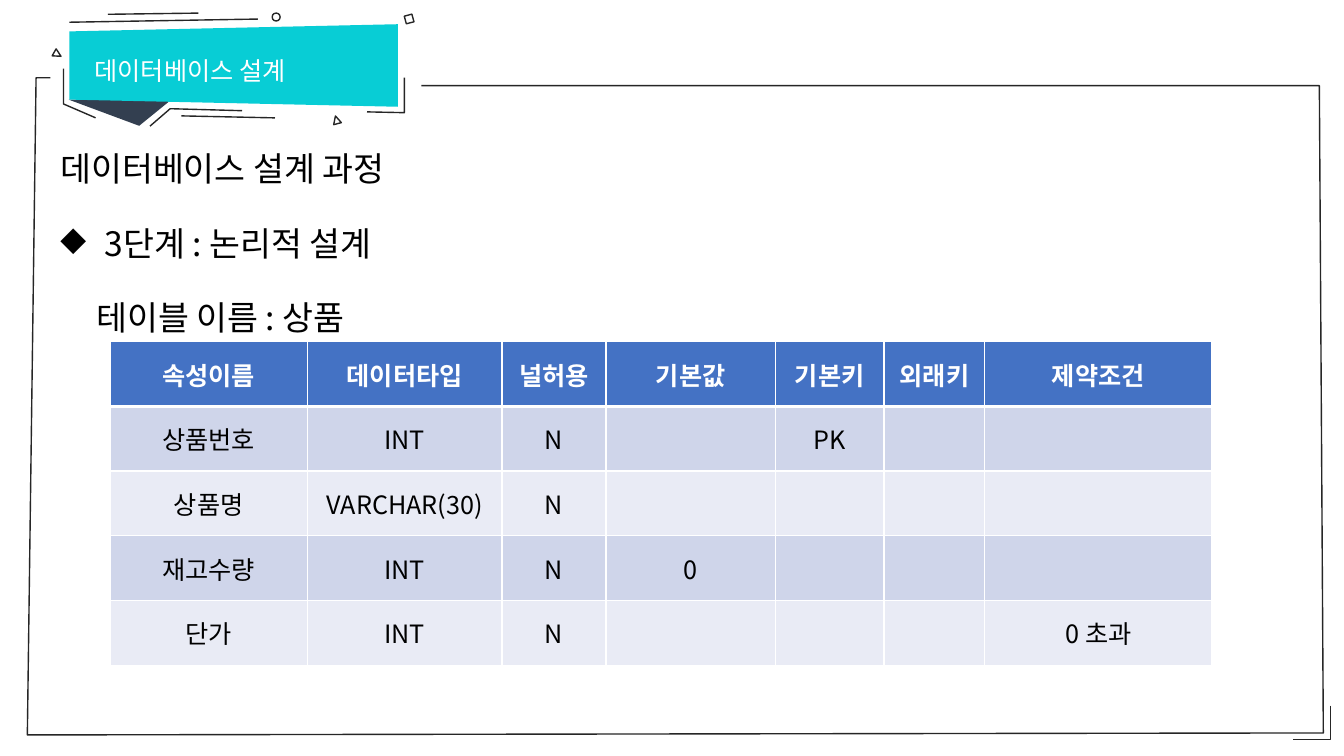
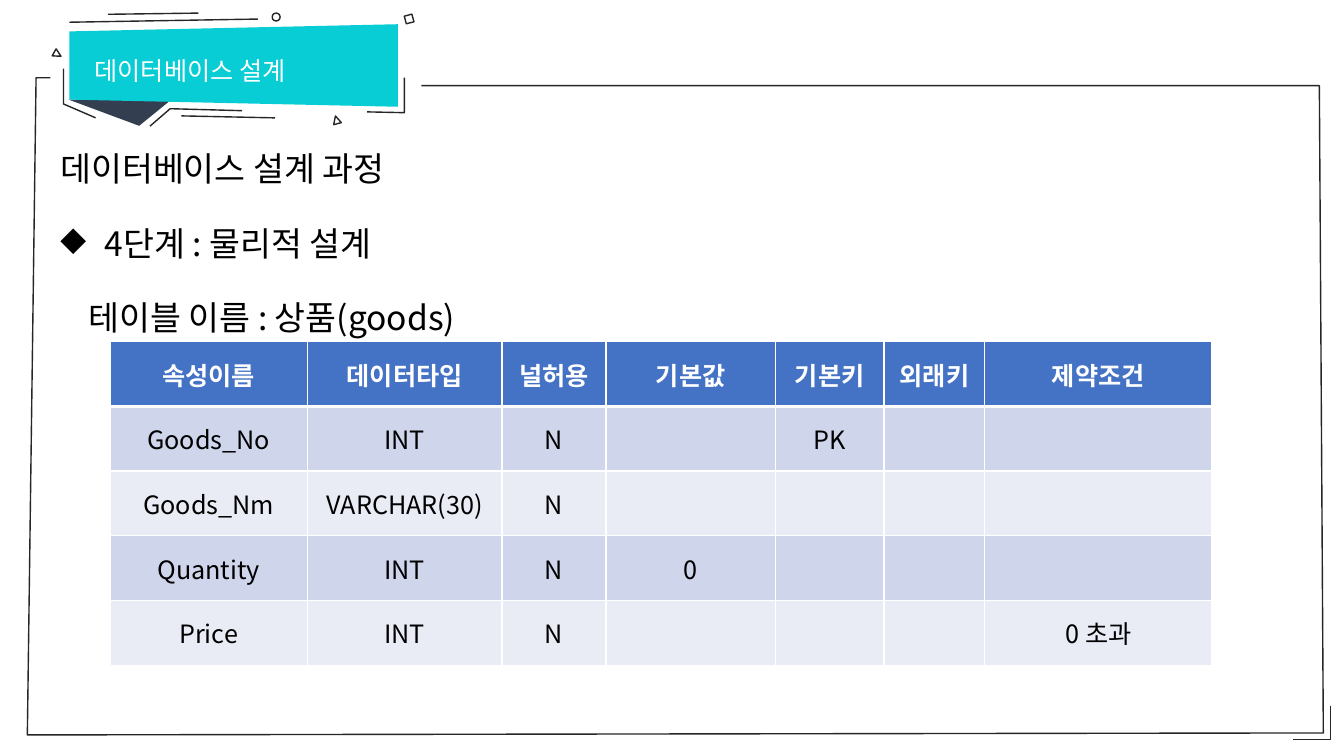
from lxml.etree import SubElement
from pptx import Presentation
from pptx.dml.color import RGBColor
from pptx.enum.shapes import MSO_CONNECTOR, MSO_SHAPE
from pptx.enum.text import MSO_ANCHOR, MSO_AUTO_SIZE, PP_ALIGN
from pptx.oxml.ns import qn
from pptx.util import Cm, Pt

COLORS = {
    "white": "FFFFFF", "black": "000000", "ink": "262626", "navy": "333F50",
    "cyan": "08CDD5", "header": "4472C4", "band": "CFD5EA", "pale": "E9EBF5",
}
FONT = "Noto Sans CJK KR"
TITLE = "데이터베이스 설계"
HEADING = "데이터베이스 설계 과정"
HEADERS = ["속성이름", "데이터타입", "널허용", "기본값", "기본키", "외래키", "제약조건"]
COLUMN_RULES = [
    ["INT", "N", "", "PK", "", ""],
    ["VARCHAR(30)", "N", "", "", "", ""],
    ["INT", "N", "0", "", "", ""],
    ["INT", "N", "", "", "", "0 초과"],
]
COL_WIDTHS = [4.98, 4.9, 2.62, 4.27, 2.74, 2.54, 5.72]
ROW_HEIGHT = 1.63
STEPS = [
    ("3단계 : 논리적 설계", "테이블 이름 : 상품", 0.91,
     ["상품번호", "상품명", "재고수량", "단가"]),
    ("4단계 : 물리적 설계", "테이블 이름 : 상품(goods)", 0.71,
     ["Goods_No", "Goods_Nm", "Quantity", "Price"]),
]

FRAME = [(10.62, 2.16), (33.25, 2.16), (33.35, 18.47), (0.69, 18.52),
         (0.91, 1.96), (1.27, 1.96)]
STROKES = [
    [(33.53, 17.78), (33.53, 18.64), (32.59, 18.64)],
    [(1.6, 1.73), (1.6, 2.62), (2.41, 2.97)],
    [(3.78, 3.18), (4.29, 2.74), (6.1, 2.79)],
    [(10.19, 1.96), (10.19, 2.84), (9.25, 2.82)],
]
LINES = [(1.75, 0.56, 6.5, 0.48), (2.72, 0.36, 5, 0.33), (4.57, 2.92, 6.93, 2.97)]
ORNAMENTS = [
    (MSO_SHAPE.OVAL, 6.86, 0.33, 0),
    (MSO_SHAPE.ISOSCELES_TRIANGLE, 8.38, 2.92, 345),
    (MSO_SHAPE.RECTANGLE, 10.21, 0.38, 345),
    (MSO_SHAPE.ISOSCELES_TRIANGLE, 1.35, 1.27, 120),
]


def rgb(name):
    return RGBColor.from_string(COLORS[name])


def paint(sp, fill=None, line=None):
    sp.shadow.inherit = False
    if fill:
        sp.fill.solid()
        sp.fill.fore_color.rgb = rgb(fill)
    else:
        sp.fill.background()
    if line:
        sp.line.color.rgb = rgb(line)
        sp.line.width = Pt(1)
    else:
        sp.line.fill.background()
    return sp


def add_path(s, points, fill=None):
    points = [(Cm(x), Cm(y)) for x, y in points]
    builder = s.shapes.build_freeform(*points[0])
    builder.add_line_segments(points[1:], close=False)
    return paint(builder.convert_to_shape(), fill, "ink")


def add_preset(s, kind, box, rotation=0, adjust=None, **colors):
    sp = s.shapes.add_shape(kind, *map(Cm, box))
    sp.rotation = rotation
    if adjust is not None:
        sp.adjustments[0] = adjust
    return paint(sp, **colors)


def add_line(s, ends):
    cx = s.shapes.add_connector(MSO_CONNECTOR.STRAIGHT, *map(Cm, ends))
    cx.line.color.rgb = rgb("ink")
    cx.line.width = Pt(1)
    SubElement(cx.element.spPr, qn("a:effectLst"))
    return cx


def write(p, text, size=18, color="black", bold=False, align=PP_ALIGN.LEFT,
          spacing=None, before=None, left=0, bullet=None):
    p.alignment = align
    if spacing:
        p.line_spacing = spacing
    if before is not None:
        p.space_before = Pt(before)
    pPr = p._p.get_or_add_pPr()
    pPr.set("marL", str(Cm(left)))
    pPr.set("indent", str(-Cm(left) if bullet else 0))
    if bullet:
        SubElement(pPr, qn("a:buChar"), char=bullet)
    r = p.add_run()
    r.text = text
    r.font.size = Pt(size)
    r.font.bold = bold
    r.font.color.rgb = rgb(color)
    r.font.name = FONT
    SubElement(r._r.get_or_add_rPr(), qn("a:ea"), typeface=FONT)


def draw_banner(s):
    parts = [
        add_path(s, FRAME, fill="white"),
        add_preset(s, MSO_SHAPE.ISOSCELES_TRIANGLE, (1.73, 2.51, 2.59, 0.66),
                   rotation=180, adjust=0.314, fill="navy"),
        add_preset(s, MSO_SHAPE.TRAPEZOID, (4.85, -2.49, 2.08, 8.28),
                   rotation=270, adjust=0.087, fill="cyan"),
    ]
    parts += [add_path(s, points) for points in STROKES]
    parts += [add_line(s, ends) for ends in LINES]
    parts += [add_preset(s, kind, (x, y, 0.2, 0.2), rotation=angle, line="ink")
              for kind, x, y, angle in ORNAMENTS]
    return parts


def set_up_layout(layout, s):
    tree = layout.shapes.element
    for holder in list(layout.placeholders):
        if holder.placeholder_format.idx != 0:
            tree.remove(holder.element)
    for part in draw_banner(s):
        tree.append(part.element)


def set_title(s):
    sp = s.shapes.title
    sp.left, sp.top, sp.width, sp.height = map(Cm, (2.13, 0.89, 5.87, 1.42))
    tf = sp.text_frame
    tf.word_wrap = False
    tf.auto_size = MSO_AUTO_SIZE.SHAPE_TO_FIT_TEXT
    tf.vertical_anchor = MSO_ANCHOR.TOP
    write(tf.paragraphs[0], TITLE, color="white", spacing=1.5, before=0)


def add_body(s, step, table_name, table_indent):
    tf = s.shapes.add_textbox(*map(Cm, (1.27, 3.71, 31.17, 12.57))).text_frame
    tf.word_wrap = True
    write(tf.paragraphs[0], HEADING, size=24, spacing=0.9, before=10)
    write(tf.add_paragraph(), step, size=24, spacing=1.5, before=10,
          left=1.12, bullet="◆")
    write(tf.add_paragraph(), table_name, size=24, spacing=1.5, before=10,
          left=table_indent)


def set_borders(cell, **widths):
    tcPr = cell._tc.get_or_add_tcPr()
    for side in ("L", "R", "T", "B"):
        ln = SubElement(tcPr, qn("a:ln" + side), w=str(Pt(widths.get(side, 1))))
        fill = SubElement(ln, qn("a:solidFill"))
        SubElement(fill, qn("a:srgbClr"), val=COLORS["white"])


def add_schema_table(s, names):
    rows = [HEADERS] + [[name] + rules for name, rules in zip(names, COLUMN_RULES)]
    table = s.shapes.add_table(
        len(rows), len(HEADERS), Cm(2.77), Cm(8.61),
        Cm(sum(COL_WIDTHS)), Cm(ROW_HEIGHT * len(rows))).table
    table.horz_banding = False
    for column, width in zip(table.columns, COL_WIDTHS):
        column.width = Cm(width)
    for i, row in enumerate(rows):
        table.rows[i].height = Cm(ROW_HEIGHT)
        header = i == 0
        fill = "header" if header else ("pale", "band")[i % 2]
        for j, text in enumerate(row):
            cell = table.cell(i, j)
            set_borders(cell, B=3 if header else 1, T=3 if i == 1 else 1)
            cell.fill.solid()
            cell.fill.fore_color.rgb = rgb(fill)
            cell.vertical_anchor = MSO_ANCHOR.MIDDLE
            if text:
                write(cell.text_frame.paragraphs[0], text, bold=header,
                      color="white" if header else "black", align=PP_ALIGN.CENTER)


def main():
    prs = Presentation()
    prs.slide_width, prs.slide_height = Cm(33.87), Cm(19.05)
    layout = prs.slide_layouts[5]
    for i, (step, table_name, table_indent, names) in enumerate(STEPS):
        s = prs.slides.add_slide(layout)
        if i == 0:
            set_up_layout(layout, s)
        set_title(s)
        add_body(s, step, table_name, table_indent)
        add_schema_table(s, names)
    prs.save("out.pptx")


main()
